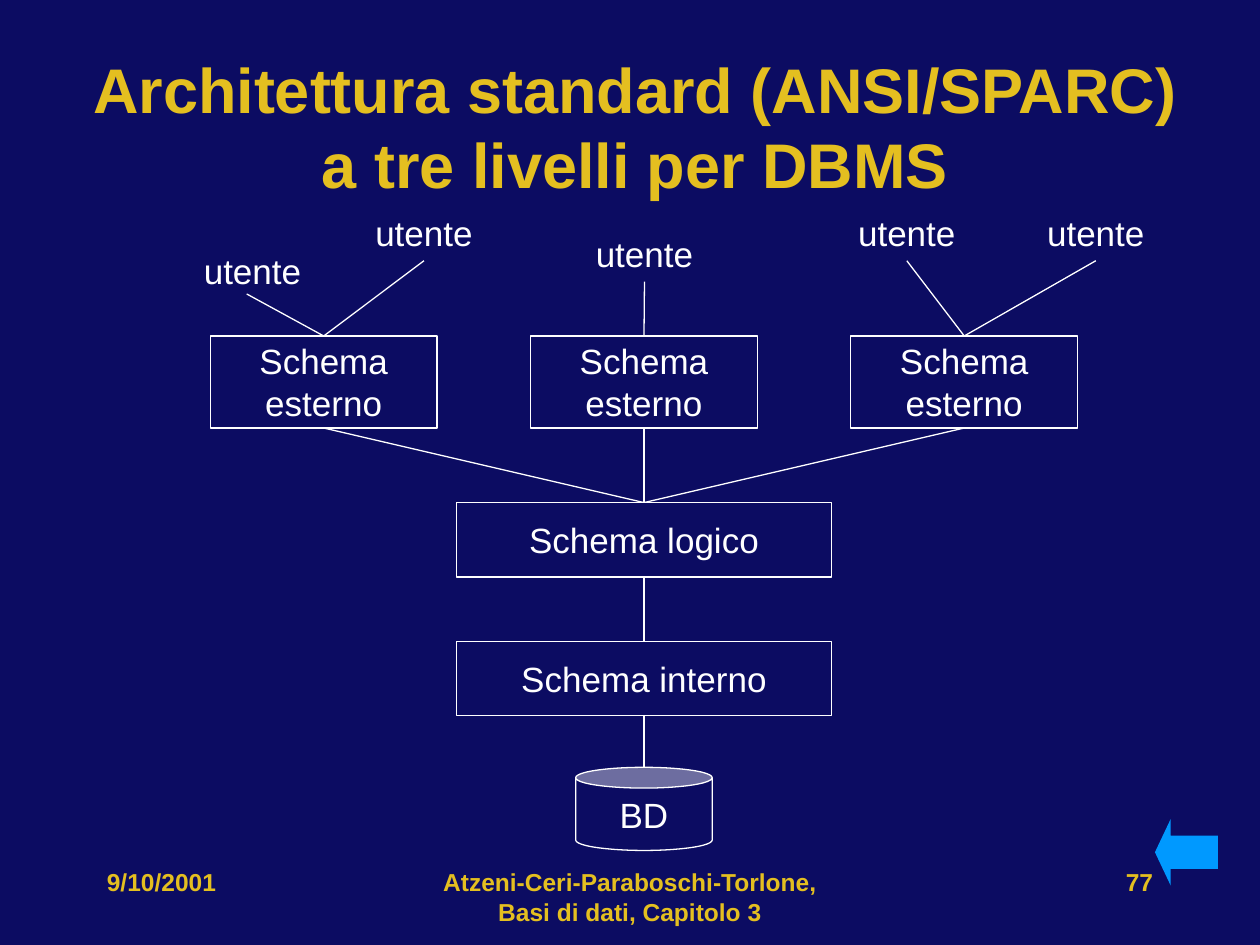
from lxml.etree import SubElement
from pptx import Presentation
from pptx.dml.color import RGBColor
from pptx.enum.shapes import MSO_CONNECTOR as CONN, MSO_SHAPE as SHAPE
from pptx.enum.text import MSO_ANCHOR as ANCHOR, PP_ALIGN as ALIGN
from pptx.oxml.ns import qn
from pptx.util import Pt

COLORS = {"navy": "0C0C62", "gold": "E4BF20", "white": "FFFFFF", "blue": "0099FF"}

# Diagram geometry: box centres and row edges
CENTERS = [185, 368, 551]
MID = CENTERS[1]
EXT_TOP, EXT_W, EXT_H = 192, 129.6, 52.6
LOGIC_TOP, INNER_TOP, LEVEL_W, LEVEL_H = 287.2, 366.5, 214.6, 42.5
DB_TOP, DB_W, DB_H = 438.5, 78, 47.5
USER_W, USER_H = 70, 31.6

# Users: label centre, label top, schema served, line end
USERS = [
    (144.3, 139, 0, (141, 168)),
    (242.3, 117.4, 0, (242.3, 149)),
    (368.3, 129.4, 1, (368.3, 161)),
    (518.2, 117.4, 2, (518.2, 149)),
    (626.2, 117.4, 2, (626.2, 149)),
]


def rgb(name):
    return RGBColor.from_string(COLORS[name])


def write(sp, text, size, color, align=ALIGN.CENTER, bold=False,
          anchor=ANCHOR.TOP, wrap=True):
    tf = sp.text_frame
    tf.text = text
    tf.word_wrap = wrap
    tf.vertical_anchor = anchor
    for p in tf.paragraphs:
        p.alignment = align
        for r in p.runs:
            r.font.name = "Arial"
            r.font.size = Pt(size)
            r.font.bold = bold
            r.font.color.rgb = rgb(color)


def add_label(s, text, x, y, w, h, size, color, **style):
    sp = s.shapes.add_textbox(Pt(x), Pt(y), Pt(w), Pt(h))
    write(sp, text, size, color, **style)


def add_node(s, kind, text, center, y, w, h):
    sp = s.shapes.add_shape(kind, Pt(center - w / 2), Pt(y), Pt(w), Pt(h))
    sp.shadow.inherit = False
    sp.fill.solid()
    sp.fill.fore_color.rgb = rgb("navy")
    sp.line.color.rgb = rgb("white")
    sp.line.width = Pt(0.75)
    write(sp, text, 20, "white", anchor=ANCHOR.MIDDLE, wrap=False)


def add_line(s, start, end):
    line = s.shapes.add_connector(CONN.STRAIGHT, *map(Pt, start + end))
    line.line.color.rgb = rgb("white")
    line.line.width = Pt(0.75)
    SubElement(line._element.spPr, qn("a:effectLst"))


def add_back_arrow(s):
    sp = s.shapes.add_shape(SHAPE.LEFT_ARROW, Pt(660), Pt(468), Pt(36), Pt(38))
    sp.adjustments[1] = 0.25
    sp.shadow.inherit = False
    sp.fill.solid()
    sp.fill.fore_color.rgb = rgb("blue")
    sp.line.fill.background()


def main():
    prs = Presentation()
    prs.slide_width, prs.slide_height = Pt(720), Pt(540)
    s = prs.slides.add_slide(prs.slide_layouts[6])
    s.background.fill.solid()
    s.background.fill.fore_color.rgb = rgb("navy")

    # Title
    add_label(s, "Architettura standard (ANSI/SPARC)\va tre livelli per DBMS",
              36, 18, 653.8, 108, 36, "gold", bold=True, anchor=ANCHOR.MIDDLE)

    # External schemas, each joined to the logical one
    for center in CENTERS:
        add_node(s, SHAPE.RECTANGLE, "Schema\nesterno", center, EXT_TOP, EXT_W, EXT_H)
        add_line(s, (center, EXT_TOP + EXT_H), (MID, LOGIC_TOP))

    # Logical and internal levels, down to the database
    levels = [("Schema logico", LOGIC_TOP, INNER_TOP),
              ("Schema interno", INNER_TOP, DB_TOP)]
    for text, top, next_top in levels:
        add_node(s, SHAPE.RECTANGLE, text, MID, top, LEVEL_W, LEVEL_H)
        add_line(s, (MID, top + LEVEL_H), (MID, next_top))
    add_node(s, SHAPE.CAN, "BD", MID, DB_TOP, DB_W, DB_H)

    # Users
    for center, top, schema, end in USERS:
        add_line(s, (CENTERS[schema], EXT_TOP), end)
        add_label(s, "utente", center - USER_W / 2, top, USER_W, USER_H,
                  20, "white", wrap=False)

    # Footer and back arrow
    add_back_arrow(s)
    footer = [
        ("Atzeni-Ceri-Paraboschi-Torlone, Basi di dati, Capitolo 3", 246, 228, ALIGN.CENTER),
        ("77", 516, 150, ALIGN.RIGHT),
        ("9/10/2001", 54, 150, ALIGN.LEFT),
    ]
    for text, x, w, align in footer:
        add_label(s, text, x, 492, w, 36, 14, "gold", align=align, bold=True)

    prs.save("out.pptx")


if __name__ == "__main__":
    main()
